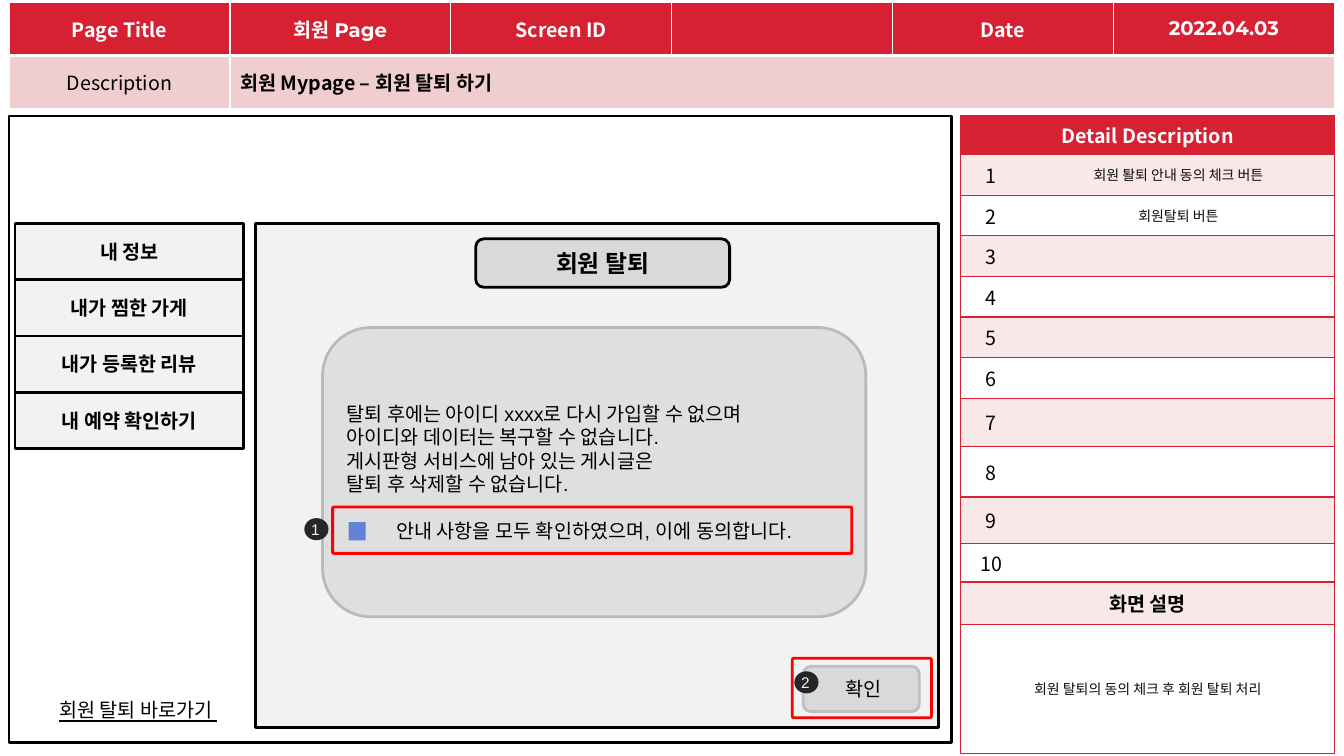
from lxml import etree
from pptx import Presentation
from pptx.dml.color import RGBColor
from pptx.enum import shapes, text
from pptx.oxml import ns
from pptx.util import Pt

RED = RGBColor(0xD8, 0x20, 0x33)
ROSE = RGBColor(0xF0, 0xCD, 0xCE)
BLUSH = RGBColor(0xF8, 0xE8, 0xE8)
WHITE = RGBColor(0xFF, 0xFF, 0xFF)
BLACK = RGBColor(0x00, 0x00, 0x00)
INK = RGBColor(0x0D, 0x0D, 0x0D)
PANEL = RGBColor(0xF2, 0xF2, 0xF2)
NOTICE = RGBColor(0xDF, 0xDF, 0xDF)
NOTICE_EDGE = RGBColor(0xBA, 0xBA, 0xBA)
BUTTON = RGBColor(0xD9, 0xD9, 0xD9)
BUTTON_EDGE = RGBColor(0xBF, 0xBF, 0xBF)
BADGE = RGBColor(0x26, 0x26, 0x26)
CHECK = RGBColor(0x61, 0x82, 0xD6)
MARK = RGBColor(0xFF, 0x00, 0x00)
NOTO, ARIAL, MONT = "Noto Sans CJK KR", "Arial", "Montserrat"
LEFT, CENTER = text.PP_ALIGN.LEFT, text.PP_ALIGN.CENTER
MIDDLE = text.MSO_ANCHOR.MIDDLE
RECT = shapes.MSO_SHAPE.RECTANGLE
ROUND = shapes.MSO_SHAPE.ROUNDED_RECTANGLE
OVAL = shapes.MSO_SHAPE.OVAL


def write(p, words, font=NOTO, size=14, color=BLACK, bold=False, align=CENTER):
    """Fill a paragraph with one run, using Noto for the Korean letters."""
    p.alignment = align
    r = p.add_run()
    r.text = words
    r.font.name = font
    r.font.size = Pt(size)
    r.font.bold = bold
    r.font.color.rgb = color
    etree.SubElement(r.font._element, ns.qn("a:ea"), typeface=NOTO)
    return r


def add_box(parent, kind, x, y, w, h, fill=None, line=None, adj=None):
    sp = parent.add_shape(kind, Pt(x), Pt(y), Pt(w), Pt(h))
    sp.shadow.inherit = False
    if adj is not None:
        sp.adjustments[0] = adj
    if fill is None:
        sp.fill.background()
    else:
        sp.fill.solid()
        sp.fill.fore_color.rgb = fill
    if line is None:
        sp.line.fill.background()
    else:
        sp.line.color.rgb = line
        sp.line.width = Pt(2)
    sp.text_frame.word_wrap = True
    sp.text_frame.vertical_anchor = MIDDLE
    return sp


prs = Presentation()
prs.slide_width, prs.slide_height = Pt(960), Pt(540)
s = prs.slides.add_slide(prs.slide_layouts[6])

# Tables
header = s.shapes.add_table(2, 6, Pt(6.5), Pt(1.5), Pt(946.8), Pt(76.4)).table
detail_heights = [25.2] + [29] * 6 + [34.6, 36, 33.1, 23.8, 30.2, 92.2]
detail = s.shapes.add_table(13, 2, Pt(686.2), Pt(82.8), Pt(267.1), Pt(447.8)).table
detail.columns[0].width, detail.columns[1].width = Pt(43.9), Pt(223.2)
for row, height in zip(detail.rows, detail_heights):
    row.height = Pt(height)
for table in (header, detail):
    table.horz_banding = False
header.cell(1, 1).merge(header.cell(1, 5))
for row in (0, 11, 12):
    detail.cell(row, 0).merge(detail.cell(row, 1))

# Each entry: cell, words, text style, fill, border colour, border widths L R T B
cells = []
titles = ["Page Title", "회원 Page", "Screen ID", "", "Date", "2022.04.03"]
for col, title in enumerate(titles):
    style = dict(color=WHITE, bold=True, font=MONT if col in (1, 5) else NOTO)
    cells.append((header.cell(0, col), title, style, RED, WHITE, (1, 1, 1, 3)))
    words = ["Description", "회원 Mypage – 회원 탈퇴 하기", "", "", "", ""][col]
    style = dict(bold=col > 0, align=LEFT if col else CENTER)
    cells.append((header.cell(1, col), words, style, ROSE, WHITE, (1, 1, 3, 1)))

notes = {1: "회원 퇄퇴 안내 동의 체크 버튼", 2: "회원탈퇴 버튼"}
for n in range(1, 11):
    fill = BLUSH if n % 2 else WHITE
    cells.append((detail.cell(n, 0), str(n), {}, fill, RED, (1, 0, 1, 1)))
    cells.append((detail.cell(n, 1), notes.get(n, ""), dict(size=10, color=INK),
                  fill, RED, (0, 1, 1, 1)))
for row, words, style, fill in [
        (0, "Detail Description", dict(color=WHITE, bold=True), RED),
        (11, "화면 설명", dict(bold=True), BLUSH),
        (12, "회원 탈퇴의 동의 체크 후 회원 탈퇴 처리", dict(size=10, color=INK), WHITE)]:
    cells.append((detail.cell(row, 0), words, style, fill, RED, (1, 1, 1, 1)))
    cells.append((detail.cell(row, 1), "", {}, fill, RED, (1, 1, 1, 1)))

for cell, words, style, fill, edge, widths in cells:
    tcPr = cell._tc.get_or_add_tcPr()
    for side, width in zip("LRTB", widths):
        ln = etree.SubElement(tcPr, ns.qn("a:ln" + side), w=str(Pt(width)))
        if width:
            paint = etree.SubElement(ln, ns.qn("a:solidFill"))
            etree.SubElement(paint, ns.qn("a:srgbClr"), val=str(edge))
        else:
            etree.SubElement(ln, ns.qn("a:noFill"))
    cell.fill.solid()
    cell.fill.fore_color.rgb = fill
    cell.vertical_anchor = MIDDLE
    p = cell.text_frame.paragraphs[0]
    if words:
        write(p, words, **style)
    else:
        etree.SubElement(p._p, ns.qn("a:endParaRPr"), sz="1000")

# Screen mock-up
add_box(s.shapes, RECT, 6.5, 82.8, 673.2, 447.8, WHITE, BLACK)
add_box(s.shapes, RECT, 182.2, 159.8, 488.2, 360, PANEL, BLACK)

notice = add_box(s.shapes, ROUND, 230.4, 234, 388.1, 206.6, NOTICE, NOTICE_EDGE, 0.167)
tf = notice.text_frame
p = tf.paragraphs[0]
for sentence in ["탈퇴 후에는 아이디 xxxx로 다시 가입할 수 없으며",
                 "아이디와 데이터는 복구할 수 없습니다.",
                 "게시판형 서비스에 남아 있는 게시글은",
                 "탈퇴 후 삭제할 수 없습니다."]:
    write(p, sentence, ARIAL, align=LEFT)
    p = tf.add_paragraph()
write(p, "안내 사항을 모두 확인하였으며, 이에 동의합니다.", ARIAL)
p.space_before = Pt(17)

title = add_box(s.shapes, ROUND, 339.8, 170.6, 181.4, 34.6, BUTTON, BLACK, 0.167)
write(title.text_frame.paragraphs[0], "회원 탈퇴", size=17, bold=True)

menu = ["내 정보", "내가 찜한 가게", "내가 등록한 리뷰", "내 예약 확인하기"]
for i, item in enumerate(menu):
    sp = add_box(s.shapes, RECT, 10.8, 159.8 + i * 40.1, 163.4, 40.1, PANEL, BLACK)
    write(sp.text_frame.paragraphs[0], item, ARIAL, bold=True)

confirm = add_box(s.shapes, ROUND, 573.8, 475.9, 82.8, 32.4, BUTTON, BUTTON_EDGE, 0.167)
write(confirm.text_frame.paragraphs[0], " 확인")

leave_link = add_box(s.shapes, ROUND, 25.9, 494.6, 145.4, 25.2, adj=0.167)
write(leave_link.text_frame.paragraphs[0], "회원 탈퇴 바로가기 ").font.underline = True

add_box(s.shapes, RECT, 249.1, 373, 12.2, 13, CHECK)
add_box(s.shapes, ROUND, 237.6, 362.2, 370.8, 33.1, line=MARK, adj=0.028)
add_box(s.shapes, ROUND, 565.9, 470.2, 99.4, 42.5, line=MARK, adj=0.028)

# Numbered badges
for number, x, y in [("1", 217.4, 370.1), ("2", 567.4, 479.5)]:
    badge = s.shapes.add_group_shape().shapes
    add_box(badge, OVAL, x, y, 17.3, 15.8, BADGE)
    label = badge.add_textbox(Pt(x - 2.2), Pt(y - 2.2), Pt(19.4), Pt(20.9))
    label.text_frame.word_wrap = False
    write(label.text_frame.paragraphs[0], number, ARIAL, 11, PANEL, align=LEFT)

prs.save("out.pptx")
